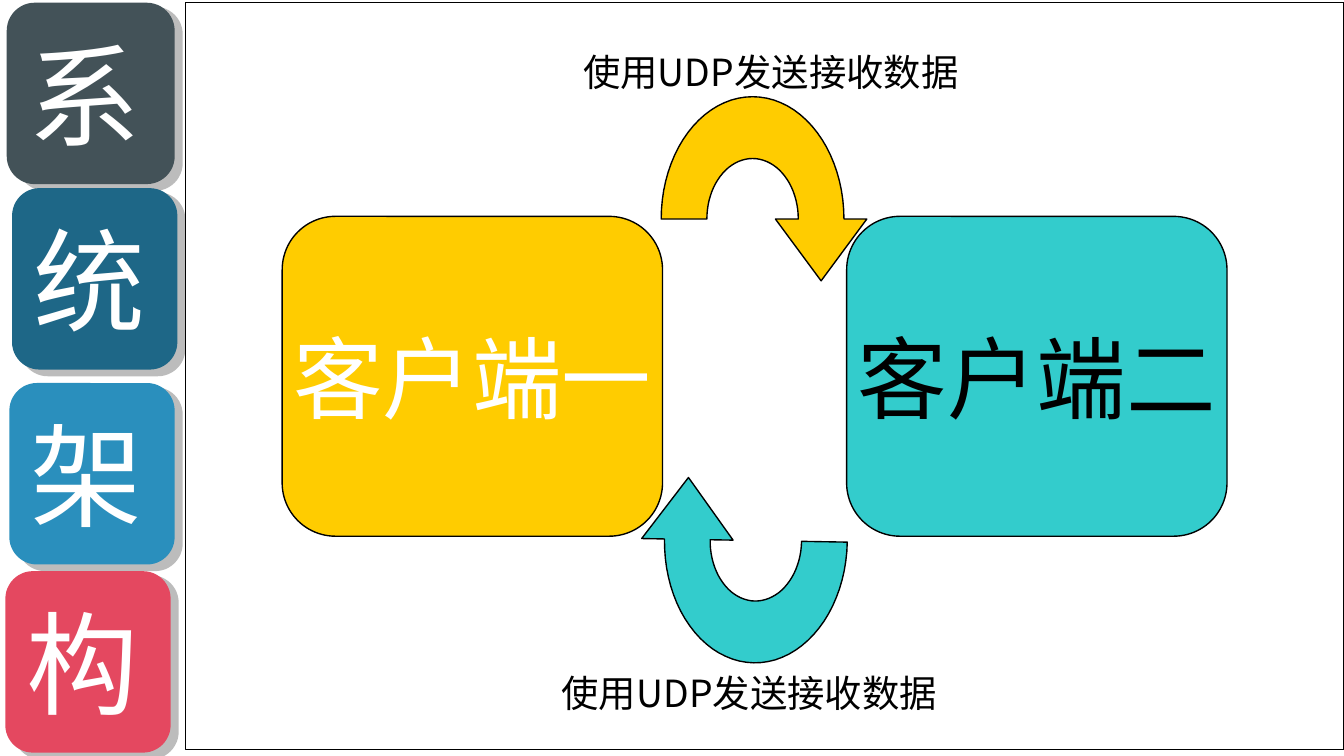
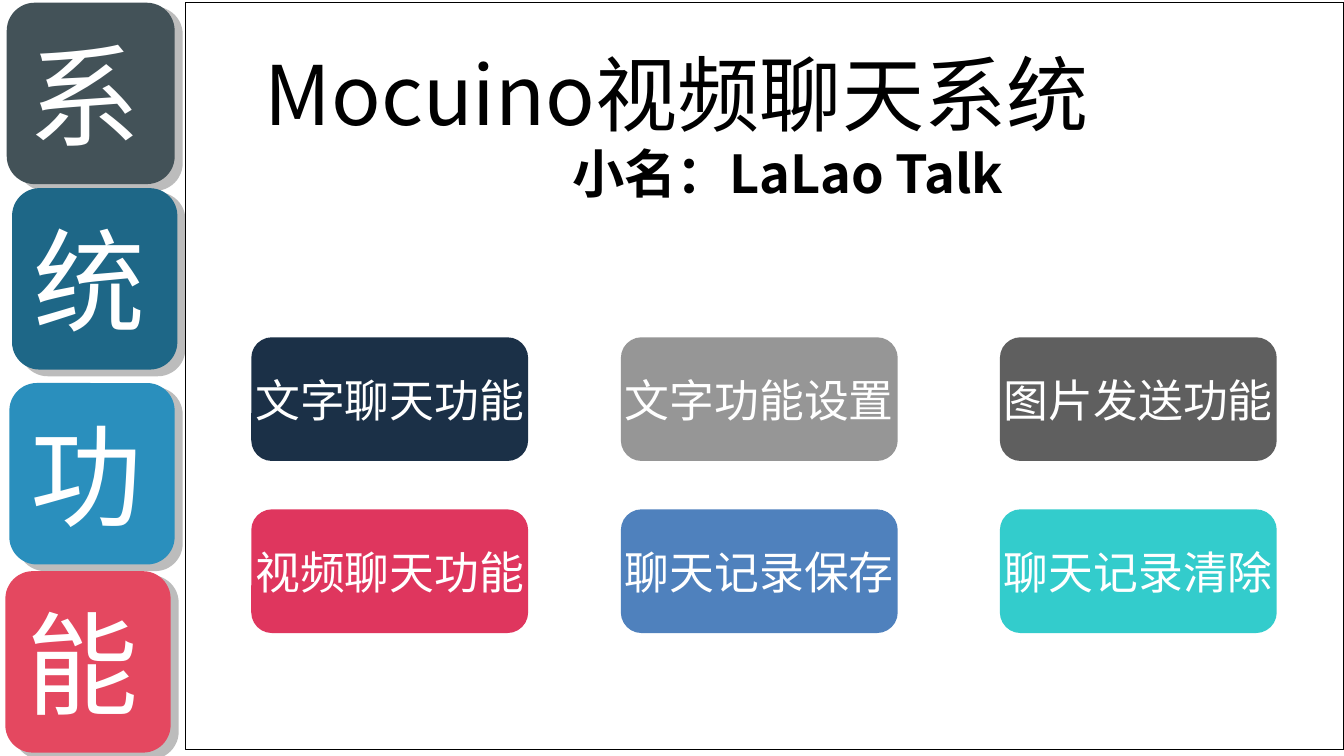
import math
from lxml import etree
from pptx import Presentation
from pptx import util as u
from pptx.dml.color import RGBColor
from pptx.enum import shapes, text
from pptx.oxml.ns import qn

THEME = {
    "white": "FFFFFF", "black": "000000", "shadow": "BCBCBC",
    "slate": "435258", "teal": "1E6787", "blue": "2A8FBD", "rose": "E44860",
    "yellow": "FFCC00", "aqua": "33CCCC", "navy": "1B3047", "silver": "969696",
    "graphite": "5F5F5F", "crimson": "DE2E58", "steel": "4F81BD",
    "cjk": "Noto Sans CJK SC", "latin": "Arial",
    "tile": 60, "client": 48, "title": 44, "subtitle": 28, "feature": 24, "label": 20,
    "line": 0.75,
}
LEFT, CENTER = text.PP_ALIGN.LEFT, text.PP_ALIGN.CENTER
TOP, MIDDLE = text.MSO_ANCHOR.TOP, text.MSO_ANCHOR.MIDDLE
ROUND, RECT = shapes.MSO_SHAPE.ROUNDED_RECTANGLE, shapes.MSO_SHAPE.RECTANGLE


def paint(sp, fill, line=None):
    sp.shadow.inherit = False
    sp.fill.solid()
    sp.fill.fore_color.rgb = RGBColor.from_string(THEME[fill])
    if line:
        sp.line.color.rgb = RGBColor.from_string(THEME[line])
        sp.line.width = u.Pt(THEME["line"])
    else:
        sp.line.fill.background()
    return sp


def write(sp, lines, color, font="cjk", align=LEFT, anchor=MIDDLE, wrap=True):
    tf = sp.text_frame
    frame = {"word_wrap": wrap, "vertical_anchor": anchor, "auto_size": text.MSO_AUTO_SIZE.NONE,
             "margin_left": u.Inches(0.1), "margin_right": u.Inches(0.1),
             "margin_top": u.Inches(0.05), "margin_bottom": u.Inches(0.05)}
    for name, value in frame.items():
        setattr(tf, name, value)
    for i, (words, size, bold, indent) in enumerate(lines):
        p = tf.add_paragraph() if i else tf.paragraphs[0]
        p.alignment = align
        if indent:
            p._p.get_or_add_pPr().set("marL", str(u.Inches(indent)))
        r = p.add_run()
        r.text = words
        for name, value in {"size": u.Pt(THEME[size]), "bold": bold, "name": THEME[font]}.items():
            setattr(r.font, name, value)
        r.font.color.rgb = RGBColor.from_string(THEME[color])
        etree.SubElement(r._r.get_or_add_rPr(), qn("a:ea")).set("typeface", THEME[font])


prs = Presentation()
prs.slide_width = u.Inches(10)
prs.slide_height = prs.slide_width * 9 // 16

tiles = [(0.05, 0.02, 1.25, "slate"), (0.09, 1.4, 1.23, "teal"),
         (0.07, 2.85, 1.23, "blue"), (0.04, 4.25, 1.23, "rose")]
slides = []
for heading, layout in (("系统架构", 6), ("系统功能", 5)):
    s = prs.slides.add_slide(prs.slide_layouts[layout])
    slides.append(s)
    for letter, (left, top, width, color) in zip(heading, tiles):
        group = s.shapes.add_group_shape().shapes
        shadow_left = left + width - 1.23 + 0.06
        paint(group.add_shape(ROUND, u.Inches(shadow_left), u.Inches(top + 0.03),
                              u.Inches(1.23), u.Inches(1.37)), "shadow")
        sp = paint(group.add_shape(ROUND, u.Inches(left), u.Inches(top),
                                   u.Inches(width), u.Inches(1.35)), color)
        write(sp, [(letter, "tile", False, 0)], "white")
    paint(s.shapes.add_shape(RECT, u.Inches(1.38), u.Inches(0.02),
                             u.Inches(8.62), u.Inches(5.56)), "white", "black")

s = slides[0]
for words, left, fill, color in (("客户端一", 2.1, "yellow", "white"),
                                 ("客户端二", 6.3, "aqua", "black")):
    sp = paint(s.shapes.add_shape(ROUND, u.Inches(left), u.Inches(1.61),
                                  u.Inches(2.83), u.Inches(2.38)), fill, "black")
    write(sp, [(words, "client", False, 0)], color, "latin", CENTER, wrap=False)

angles = [math.pi * i / 40 for i in range(41)]
inner = [(0.34 * math.cos(a), -0.45 * math.sin(a)) for a in angles]
outer = [(-0.68 * math.cos(a), -0.91 * math.sin(a)) for a in angles]
arrow = inner + outer + [(0.85, 0), (0.51, 0.46), (0.17, 0)]
for cx, cy, fill, turn in ((5.6, 1.63, "yellow", 0), (5.45, 4.47, "aqua", 181)):
    points = [(u.Inches(cx + x), u.Inches(cy + y)) for x, y in arrow]
    builder = s.shapes.build_freeform(*points[0])
    builder.add_line_segments(points[1:], close=True)
    sp = paint(builder.convert_to_shape(), fill, "black")
    sp.rotation = turn

for left, top in ((4.24, 0.32), (4.08, 4.94)):
    sp = s.shapes.add_textbox(u.Inches(left), u.Inches(top), u.Inches(3.21), u.Inches(0.44))
    write(sp, [("使用UDP发送接收数据", "label", False, 0)], "black", anchor=TOP)

s = slides[1]
title = s.shapes.title
s.shapes._spTree.append(title._element)
for name, value in {"left": 1.87, "top": 0.27, "width": 7.64, "height": 2.24}.items():
    setattr(title, name, u.Inches(value))
write(title, [("Mocuino视频聊天系统", "title", False, 0),
              ("小名：LaLao Talk", "subtitle", True, 2.29)], "black", anchor=TOP)

features = [[("文字聊天功能", "navy"), ("文字功能设置", "silver"), ("图片发送功能", "graphite")],
            [("视频聊天功能", "crimson"), ("聊天记录保存", "steel"), ("聊天记录清除", "aqua")]]
for top, row in zip((2.51, 3.79), features):
    for left, (words, fill) in zip((1.87, 4.62, 7.44), row):
        sp = paint(s.shapes.add_shape(ROUND, u.Inches(left), u.Inches(top),
                                      u.Inches(2.06), u.Inches(0.92)), fill)
        if fill == "crimson":
            clr = sp._element.spPr.find(qn("a:solidFill"))[0]
            etree.SubElement(clr, qn("a:alpha")).set("val", "96000")
        write(sp, [(words, "feature", False, 0)], "white", "latin", CENTER, wrap=False)

prs.save("out.pptx")
